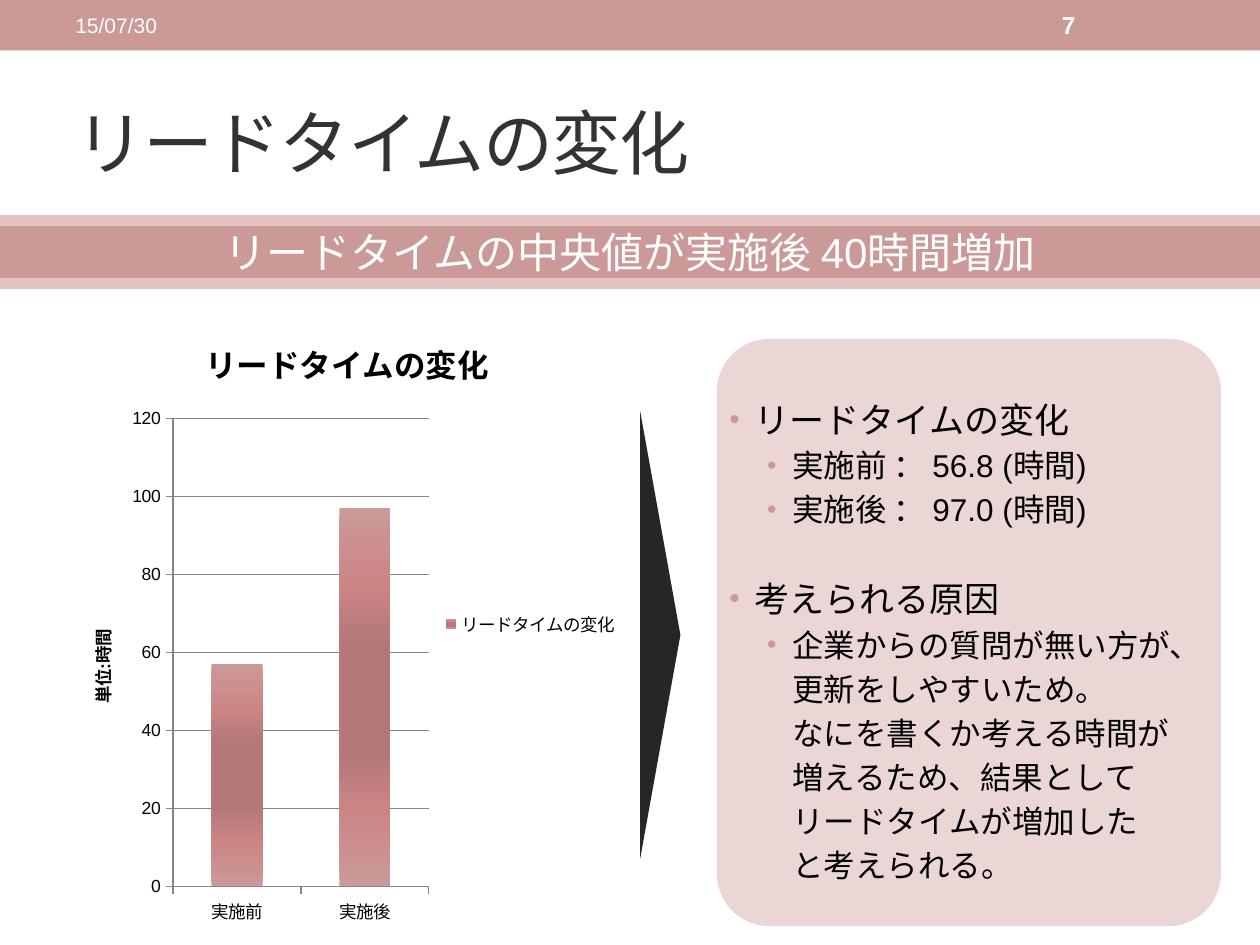
"""Build the lead time slide: banner, column chart, arrow and findings panel."""
from lxml import etree
from pptx import Presentation
from pptx import util as u
from pptx.chart import data
from pptx.dml import color
from pptx.enum import chart as charts, shapes, text
from pptx.oxml import ns

COLOURS = {
    "rose": "CC9999", "rose_line": "E0C2C2", "panel": "EBD6D6", "arrow": "262626",
    "title": "333333", "black": "000000", "white": "FFFFFF", "grid": "868686",
    "bar_mid": "CC8585", "bar_dark": "B57878",
}


def rgb(name):
    return color.RGBColor.from_string(COLOURS[name])


def write(frame, content, size=18, colour="black", bold=False, align=None,
          first=True, before=0, margin=0, bullet=False, tracking=0):
    frame.word_wrap = True
    paragraph = frame.paragraphs[0] if first else frame.add_paragraph()
    paragraph.alignment = align
    paragraph.space_before = u.Pt(before)
    run = paragraph.add_run()
    run.text = content
    run.font.name = "Arial"
    run.font.size = u.Pt(size)
    run.font.bold = bold
    run.font.color.rgb = rgb(colour)
    if tracking:
        run._r.get_or_add_rPr().set("spc", str(tracking * 100))
    properties = paragraph._p.get_or_add_pPr()
    properties.set("marL", str(u.Inches(margin)))
    properties.set("indent", str(u.Inches(-0.2 if bullet else 0)))
    if bullet:
        bullet_colour = etree.SubElement(properties, ns.qn("a:buClr"))
        etree.SubElement(bullet_colour, ns.qn("a:srgbClr"), val=COLOURS["rose"])
        etree.SubElement(properties, ns.qn("a:buSzPct"), val="85000")
        etree.SubElement(properties, ns.qn("a:buFont"), typeface="Arial")
        etree.SubElement(properties, ns.qn("a:buChar"), char="•")


presentation = Presentation()
presentation.slide_width = u.Inches(10)
presentation.slide_height = u.Inches(7.5)
slide = presentation.slides.add_slide(presentation.slide_layouts[6])

kinds = shapes.MSO_SHAPE
drawn = {}
for name, kind, box, fill in [
    ("header", kinds.RECTANGLE, (0, 0, 10, 0.4), "rose"),
    ("panel", kinds.ROUNDED_RECTANGLE, (5.69, 2.69, 4, 4.66), "panel"),
    ("arrow", kinds.ISOSCELES_TRIANGLE, (3.46, 4.88, 3.56, 0.32), "arrow"),
    ("banner", kinds.RECTANGLE, (-0.54, 1.75, 11.08, 0.5), "rose"),
]:
    shape = slide.shapes.add_shape(kind, *[u.Inches(length) for length in box])
    shape.shadow.inherit = False
    shape.fill.solid()
    shape.fill.fore_color.rgb = rgb(fill)
    shape.line.fill.background()
    drawn[name] = shape

drawn["panel"].adjustments[0] = 0.104
drawn["arrow"].rotation = 90
banner = drawn["banner"]
banner.line.color.rgb = rgb("rose_line")
banner.line.width = u.Pt(6)
banner.text_frame.vertical_anchor = text.MSO_ANCHOR.MIDDLE
write(banner.text_frame, "リードタイムの中央値が実施後 40時間増加", size=24, colour="white",
      align=text.PP_ALIGN.CENTER)

for content, box, style in [
    ("リードタイムの変化", (0.5, 0.58, 9, 1.08), {"size": 40, "colour": "title", "tracking": -1}),
    ("15/07/30", (0.5, 0.02, 3.17, 0.36), {"size": 12, "colour": "white"}),
    ("7", (8.33, 0.02, 1.17, 0.36), {"size": 14, "colour": "white", "bold": True}),
]:
    label = slide.shapes.add_textbox(*[u.Inches(length) for length in box])
    label.text_frame.vertical_anchor = text.MSO_ANCHOR.MIDDLE
    write(label.text_frame, content, **style)

heading = {"size": 20, "margin": 0.2, "bullet": True}
item = {"margin": 0.5, "bullet": True, "before": 3.6}
continuation = {"margin": 0.5, "before": 3.6}
findings = slide.shapes.add_textbox(u.Inches(5.69), u.Inches(3.11), u.Inches(3.81), u.Inches(4.2))
for index, (content, style) in enumerate([
    ("リードタイムの変化", {**heading, "before": 4}),
    ("実施前 ： 56.8 (時間)", item),
    ("実施後 ： 97.0 (時間)", item),
    ("考えられる原因", {**heading, "before": 28}),
    ("企業からの質問が無い方が、", item),
    ("更新をしやすいため。", continuation),
    ("なにを書くか考える時間が", continuation),
    ("増えるため、結果として", continuation),
    ("リードタイムが増加した", continuation),
    ("と考えられる。", continuation),
]):
    write(findings.text_frame, content, first=index == 0, **style)

lead_times = data.CategoryChartData()
lead_times.categories = ["実施前", "実施後"]
lead_times.add_series("リードタイムの変化", [57, 97])
chart = slide.shapes.add_chart(
    charts.XL_CHART_TYPE.COLUMN_CLUSTERED,
    u.Inches(0.5), u.Inches(2.48), u.Inches(4.51), u.Inches(4.95), lead_times).chart
chart.font.name = "Arial"
chart.font.size = u.Pt(10)
chart.font.color.rgb = rgb("black")
chart.has_title = True
write(chart.chart_title.text_frame, "リードタイムの変化", bold=True)
chart.chart_title.include_in_layout = False
chart.has_legend = True
chart.legend.position = charts.XL_LEGEND_POSITION.RIGHT
chart.legend.include_in_layout = False

value_axis = chart.value_axis
value_axis.minimum_scale = 0
value_axis.maximum_scale = 120
value_axis.major_unit = 20
value_axis.has_major_gridlines = True
write(value_axis.axis_title.text_frame, "単位:時間", size=10, bold=True)
for axis in (chart.category_axis, value_axis):
    axis.major_tick_mark = charts.XL_TICK_MARK.OUTSIDE
    axis.format.line.color.rgb = rgb("grid")
value_axis.major_gridlines.format.line.color.rgb = rgb("grid")

plot = chart.plots[0]
plot.vary_by_categories = False
plot.gap_width = 150
bar_fill = plot.series[0].format.fill
bar_fill.gradient()
bar_fill.gradient_angle = 90
stops = plot.series[0]._element.find(".//" + ns.qn("a:gsLst"))
for stop in list(stops):
    stops.remove(stop)
for percent, name in [(0, "rose"), (20, "bar_mid"), (35, "bar_dark"),
                      (65, "bar_dark"), (80, "bar_mid"), (100, "rose")]:
    stop = etree.SubElement(stops, ns.qn("a:gs"), pos=str(percent * 1000))
    etree.SubElement(stop, ns.qn("a:srgbClr"), val=COLOURS[name])

presentation.save("out.pptx")
